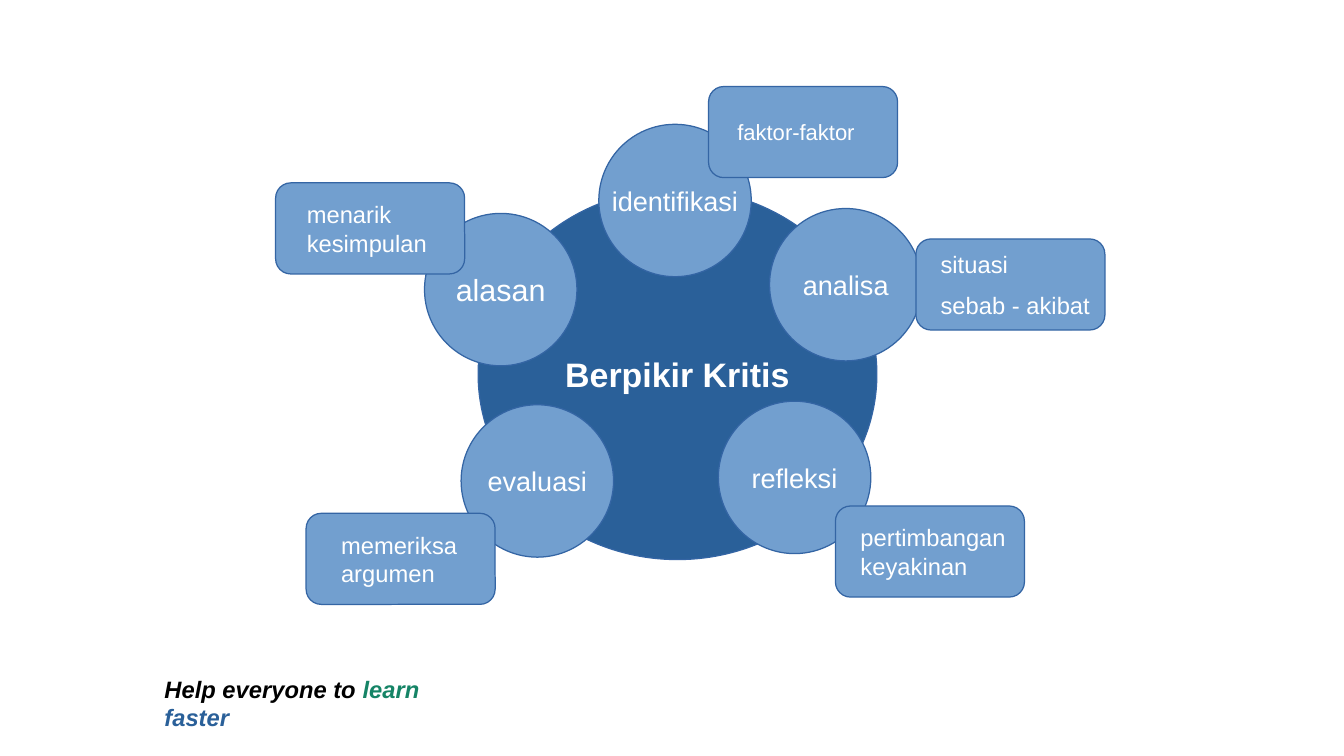
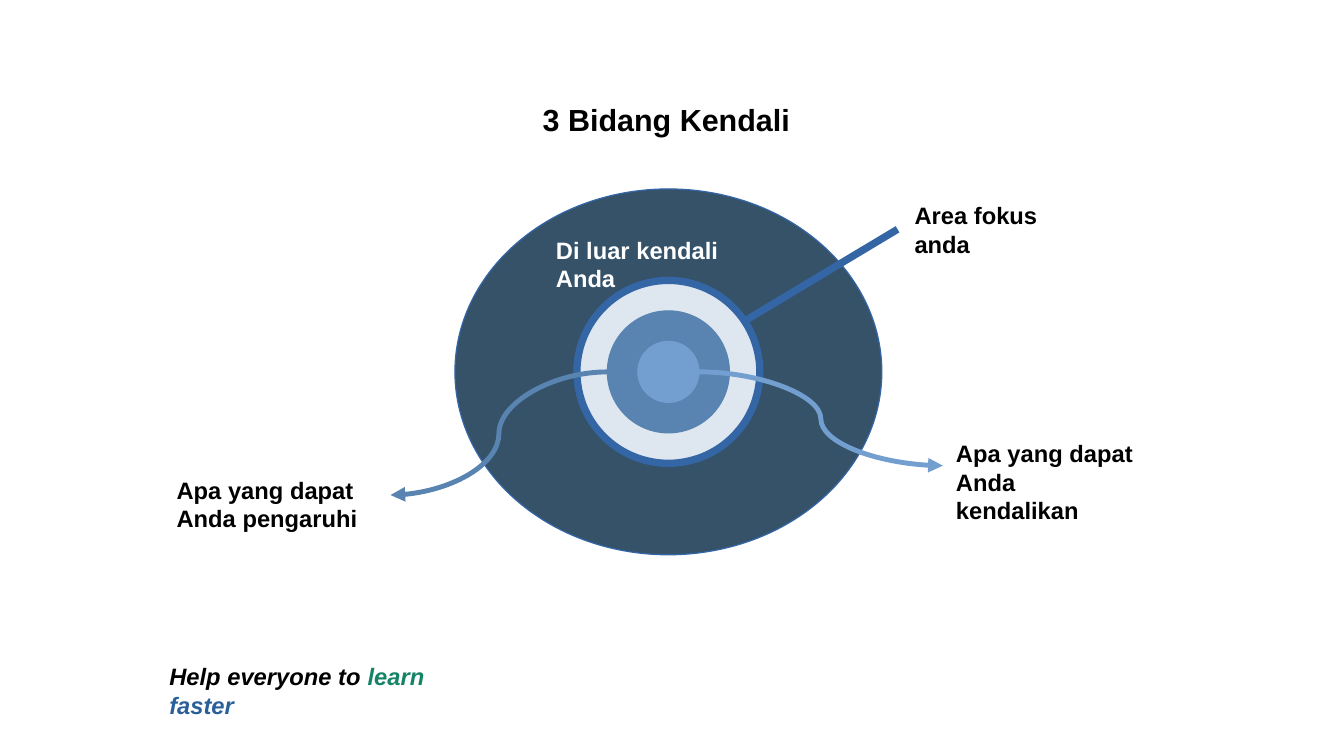
from lxml.etree import SubElement
from pptx import Presentation
from pptx.dml.color import RGBColor
from pptx.enum.shapes import MSO_CONNECTOR, MSO_SHAPE
from pptx.enum.text import MSO_ANCHOR, MSO_AUTO_SIZE, PP_ALIGN
from pptx.oxml.ns import qn
from pptx.util import Pt

BLACK, WHITE = "000000", "FFFFFF"
NAVY, SKY, OUTLINE = "2A6099", "729FCF", "3465A4"
SLATE, PALE, STEEL, GREEN = "355269", "DEE6EF", "5983B0", "158466"


def rgb(code):
    return RGBColor.from_string(code)


def write(frame, text, size=14, color=BLACK, bold=False, italic=False,
          align=PP_ALIGN.LEFT, anchor=MSO_ANCHOR.TOP, wrap=True, gap=0):
    frame.word_wrap = wrap
    frame.auto_size = MSO_AUTO_SIZE.NONE
    frame.vertical_anchor = anchor
    lines = text.split("\n") if isinstance(text, str) else [text]
    for index, line in enumerate(lines):
        paragraph = frame.add_paragraph() if index else frame.paragraphs[0]
        paragraph.alignment = align
        if index and gap:
            paragraph.space_before = Pt(gap)
        pieces = [(line, color)] if isinstance(line, str) else line
        for words, tint in pieces:
            run = paragraph.add_run()
            run.text = words
            font = run.font
            font.name, font.size = "Arial", Pt(size)
            font.bold, font.italic = bold, italic
            font.color.rgb = rgb(tint)


class Deck:
    """Holds the shared style and the slide being built."""

    def __init__(self, width, height):
        self.show = Presentation()
        self.show.slide_width, self.show.slide_height = Pt(width), Pt(height)
        self.slide = None

    def new_slide(self, layout):
        self.slide = self.show.slides.add_slide(self.show.slide_layouts[layout])

    def title(self, text, left, top, width, height):
        heading = self.slide.shapes.title
        heading.left, heading.top = Pt(left), Pt(top)
        heading.width, heading.height = Pt(width), Pt(height)
        write(heading.text_frame, text, size=18, bold=True)

    def shape(self, preset, left, top, width, height, fill, line=OUTLINE, weight=0.75):
        figure = self.slide.shapes.add_shape(
            preset, Pt(left), Pt(top), Pt(width), Pt(height))
        figure.shadow.inherit = False
        figure.fill.solid()
        figure.fill.fore_color.rgb = rgb(fill)
        figure.line.color.rgb = rgb(line)
        figure.line.width = Pt(weight)
        return figure

    def ellipse(self, center_x, center_y, width, height, fill, text="", size=16,
                bold=False, **outline):
        disc = self.shape(MSO_SHAPE.OVAL, center_x - width / 2,
                          center_y - height / 2, width, height, fill, **outline)
        if text:
            write(disc.text_frame, text, size=size, color=WHITE, bold=bold,
                  align=PP_ALIGN.CENTER, anchor=MSO_ANCHOR.MIDDLE, wrap=False)

    def callout(self, left, top, text, indent, **style):
        card = self.shape(MSO_SHAPE.ROUNDED_RECTANGLE, left, top, 111.6, 53.8, SKY)
        card.text_frame.margin_left, card.text_frame.margin_right = Pt(indent), 0
        write(card.text_frame, text, color=WHITE, anchor=MSO_ANCHOR.MIDDLE, **style)

    def label(self, text, left, top, width, height, **style):
        box = self.slide.shapes.add_textbox(Pt(left), Pt(top), Pt(width), Pt(height))
        write(box.text_frame, text, bold=True, **style)

    def link(self, kind, start, end, color, weight, arrow=False):
        connector = self.slide.shapes.add_connector(
            kind, *(Pt(value) for value in (*start, *end)))
        connector.line.color.rgb = rgb(color)
        connector.line.width = Pt(weight)
        if arrow:
            SubElement(connector.line._get_or_add_ln(), qn("a:tailEnd"), type="triangle")
        SubElement(connector._element.spPr, qn("a:effectLst"))

    def motto(self, left, top):
        words = [("Help everyone to ", BLACK), ("learn ", GREEN), ("faster", NAVY)]
        self.label(words, left, top, 206.6, 23, italic=True)


def critical_thinking(deck):
    deck.new_slide(6)
    deck.ellipse(400, 221, 235.4, 218.9, NAVY, "Berpikir Kritis", size=20, bold=True)
    skills = [
        ("identifikasi", 398.5, 118.4, 16),
        ("analisa", 499.3, 168.1, 16),
        ("refleksi", 469.1, 281.9, 16),
        ("alasan", 295.6, 171, 18),
        ("evaluasi", 317.2, 284, 16),
    ]
    for skill, center_x, center_y, size in skills:
        deck.ellipse(center_x, center_y, 90, 90, SKY, skill, size=size)
    deck.callout(418.3, 51.1, "faktor-faktor", 14.4, size=13)
    deck.callout(540.7, 141.1, "situasi\nsebab - akibat", 12, gap=7)
    deck.callout(493.2, 298.8, "pertimbangan\nkeyakinan", 12.2)
    deck.callout(180.7, 303.1, "memeriksa\nargumen", 18)
    deck.callout(162.7, 108, "menarik\nkesimpulan", 15.8)
    deck.motto(90, 394.6)


def control_areas(deck):
    deck.new_slide(5)
    deck.title("3 Bidang Kendali", 313.2, 56.2, 164.9, 27.4)
    center_x, center_y = 394.6, 219.6
    deck.ellipse(center_x, center_y, 252, 216, SLATE)
    deck.ellipse(center_x, center_y, 108, 108, PALE, weight=4.31)
    deck.ellipse(center_x, center_y, 72, 72, STEEL, line=STEEL)
    deck.ellipse(center_x, center_y, 36, 36, SKY, line=SKY)
    deck.link(MSO_CONNECTOR.CURVE, (center_x + 18, center_y), (556.6, 275),
              SKY, 2.89, arrow=True)
    deck.link(MSO_CONNECTOR.CURVE, (center_x - 36, center_y), (230.6, 292.3),
              STEEL, 2.89, arrow=True)
    deck.link(MSO_CONNECTOR.STRAIGHT, (439.9, 189.4), (529.9, 135.4), OUTLINE, 4.31)
    deck.label("Apa yang dapat\nAnda kendalikan", 557.3, 255.6, 125.3, 38.2)
    deck.label("Apa yang dapat\nAnda pengaruhi", 97.2, 277.2, 122.4, 38.2)
    deck.label("Di luar kendali Anda", 321.1, 135.4, 148.3, 22.3, color=WHITE)
    deck.label("Area fokus anda", 532.8, 115.2, 123.1, 22.3)
    deck.motto(92.9, 387.4)


def main():
    deck = Deck(793.44, 446.4)
    critical_thinking(deck)
    control_areas(deck)
    deck.show.save("out.pptx")


if __name__ == "__main__":
    main()
